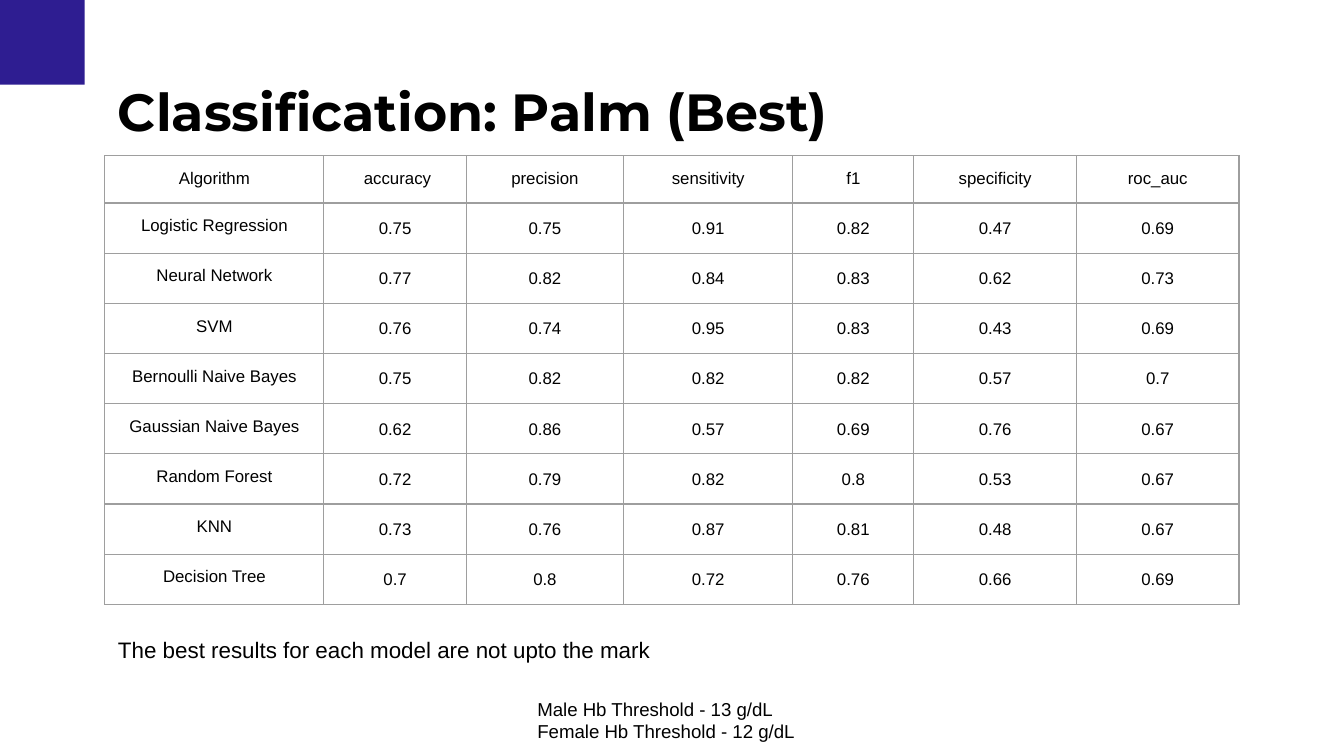
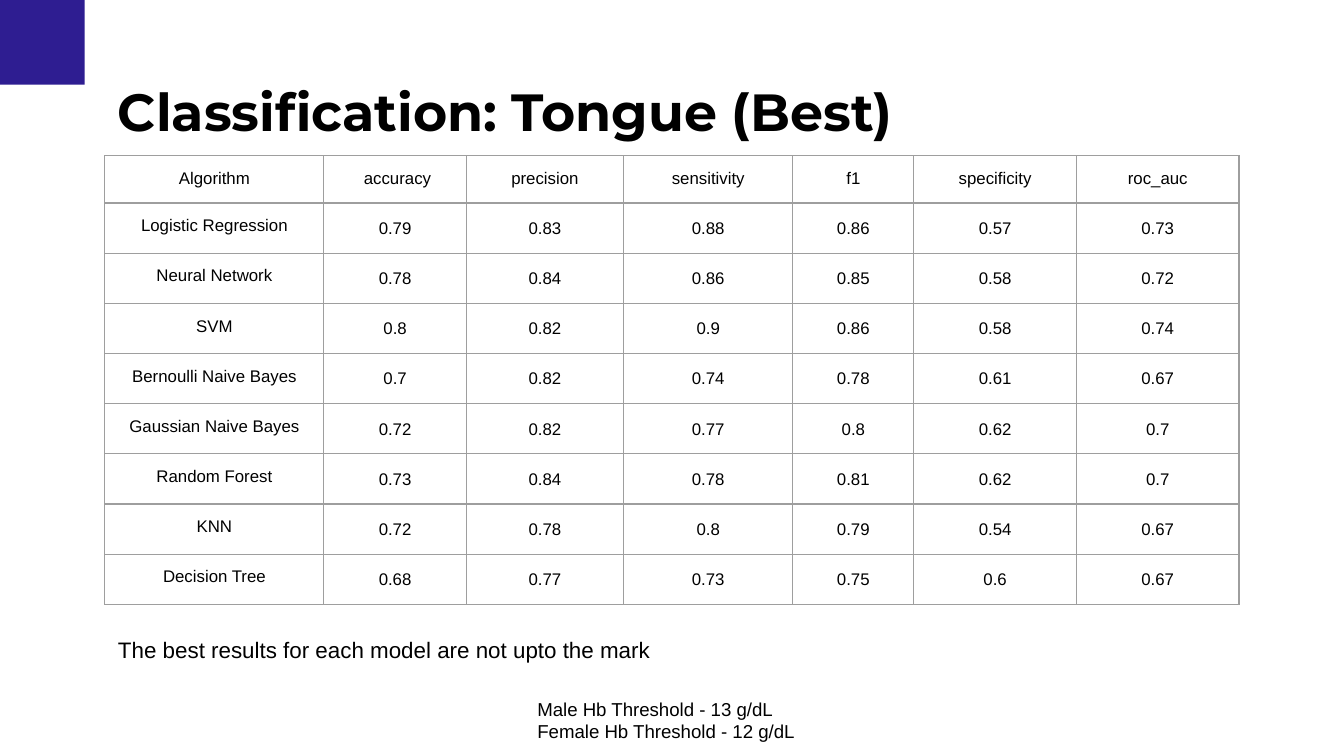
import pptx
import pptx.util
import pptx.dml.color
import pptx.enum.shapes
import pptx.enum.text
import pptx.oxml
import pptx.oxml.ns

Inches = pptx.util.Inches
Pt = pptx.util.Pt
ALIGN = pptx.enum.text.PP_ALIGN

COLORS = {"accent": "2E1D91", "text": "000000", "grid": "9E9E9E"}
BODY, HEAD = "Arial", "Montserrat"
INSET = 0.1

# Boxes: left, top, width, height in inches
CORNER = (0, 0, 0.63, 0.63)
TITLE = (0.78, 0.49, 8.44, 0.67)
GRID = (0.78, 1.16, 8.44, 3.15)
NOTE = (0.78, 4.63, 5.26, 0.4)
LIMITS = (3.9, 5.09, 2.2, 0.54)

COLS = (1.63, 1.06, 1.17, 1.26, 0.9, 1.21, 1.21)
METRICS = ["Algorithm", " accuracy", "precision", "sensitivity", "f1",
           "specificity", "roc_auc"]
MODELS = ["Logistic Regression", "Neural Network", "SVM",
          "Bernoulli Naive Bayes", "Gaussian Naive Bayes", "Random Forest",
          "KNN", "Decision Tree"]
REMARK = "The best results for each model are not upto the mark"
BOUNDS = "Male Hb Threshold - 13 g/dL\nFemale Hb Threshold - 12 g/dL"

PALM = [
    (0.75, 0.75, 0.91, 0.82, 0.47, 0.69),
    (0.77, 0.82, 0.84, 0.83, 0.62, 0.73),
    (0.76, 0.74, 0.95, 0.83, 0.43, 0.69),
    (0.75, 0.82, 0.82, 0.82, 0.57, 0.7),
    (0.62, 0.86, 0.57, 0.69, 0.76, 0.67),
    (0.72, 0.79, 0.82, 0.8, 0.53, 0.67),
    (0.73, 0.76, 0.87, 0.81, 0.48, 0.67),
    (0.7, 0.8, 0.72, 0.76, 0.66, 0.69),
]
TONGUE = [
    (0.79, 0.83, 0.88, 0.86, 0.57, 0.73),
    (0.78, 0.84, 0.86, 0.85, 0.58, 0.72),
    (0.8, 0.82, 0.9, 0.86, 0.58, 0.74),
    (0.7, 0.82, 0.74, 0.78, 0.61, 0.67),
    (0.72, 0.82, 0.77, 0.8, 0.62, 0.7),
    (0.73, 0.84, 0.78, 0.81, 0.62, 0.7),
    (0.72, 0.78, 0.8, 0.79, 0.54, 0.67),
    (0.68, 0.77, 0.73, 0.75, 0.6, 0.67),
]


def color(name):
    return pptx.dml.color.RGBColor.from_string(COLORS[name])


def place(box):
    return [Inches(n) for n in box]


def pad(part):
    """Give a cell or text frame equal insets."""
    for side in ("left", "top", "right", "bottom"):
        setattr(part, "margin_" + side, Inches(INSET))


def style(frame, size, face=BODY, bold=False):
    for para in frame.paragraphs:
        for run in para.runs:
            run.font.size = Pt(size)
            run.font.name = face
            run.font.bold = bold
            run.font.color.rgb = color("text")


def add_text(slide, box, text, size, face=BODY, bold=False):
    frame = slide.shapes.add_textbox(*place(box)).text_frame
    frame.word_wrap = True
    frame.auto_size = pptx.enum.text.MSO_AUTO_SIZE.SHAPE_TO_FIT_TEXT
    pad(frame)
    frame.text = text
    style(frame, size, face, bold)


def add_corner(slide, box):
    kind = pptx.enum.shapes.MSO_SHAPE.RECTANGLE
    square = slide.shapes.add_shape(kind, *place(box))
    square.shadow.inherit = False
    square.fill.solid()
    square.fill.fore_color.rgb = color("accent")
    square.line.fill.background()


def add_edges(cell):
    """Draw all four borders; they must come before the cell fill."""
    props = cell._tc.get_or_add_tcPr()
    for spot, side in enumerate("LRTB"):
        edge = pptx.oxml.parse_xml(
            f'<a:ln{side} {pptx.oxml.ns.nsdecls("a")} w="{Pt(0.75)}">'
            f'<a:solidFill><a:srgbClr val="{COLORS["grid"]}"/></a:solidFill>'
            f'</a:ln{side}>')
        props.insert(spot, edge)


def add_grid(slide, box, scores):
    rows = [METRICS] + [[name, *map(str, line)]
                        for name, line in zip(MODELS, scores)]
    table = slide.shapes.add_table(len(rows), len(COLS), *place(box)).table
    table.first_row = table.horz_banding = False
    for col, width in zip(table.columns, COLS):
        col.width = Inches(width)
    for r, line in enumerate(rows):
        for c, text in enumerate(line):
            cell = table.cell(r, c)
            cell.fill.background()
            add_edges(cell)
            pad(cell)
            cell.text_frame.text = text
            para = cell.text_frame.paragraphs[0]
            para.alignment = ALIGN.CENTER
            if r and c:
                para.line_spacing = 1.15
            style(cell.text_frame, 9)


def add_result(deck, site, scores):
    slide = deck.slides.add_slide(deck.slide_layouts[6])
    add_corner(slide, CORNER)
    add_text(slide, TITLE, f"Classification: {site} (Best)", 28, HEAD, True)
    add_text(slide, LIMITS, BOUNDS, 10)
    add_grid(slide, GRID, scores)
    add_text(slide, NOTE, REMARK, 12)


def main():
    deck = pptx.Presentation()
    # Widescreen, 16 to 9
    deck.slide_width = Inches(10)
    deck.slide_height = deck.slide_width * 9 // 16
    add_result(deck, "Palm", PALM)
    add_result(deck, "Tongue", TONGUE)
    deck.save("out.pptx")


if __name__ == "__main__":
    main()
